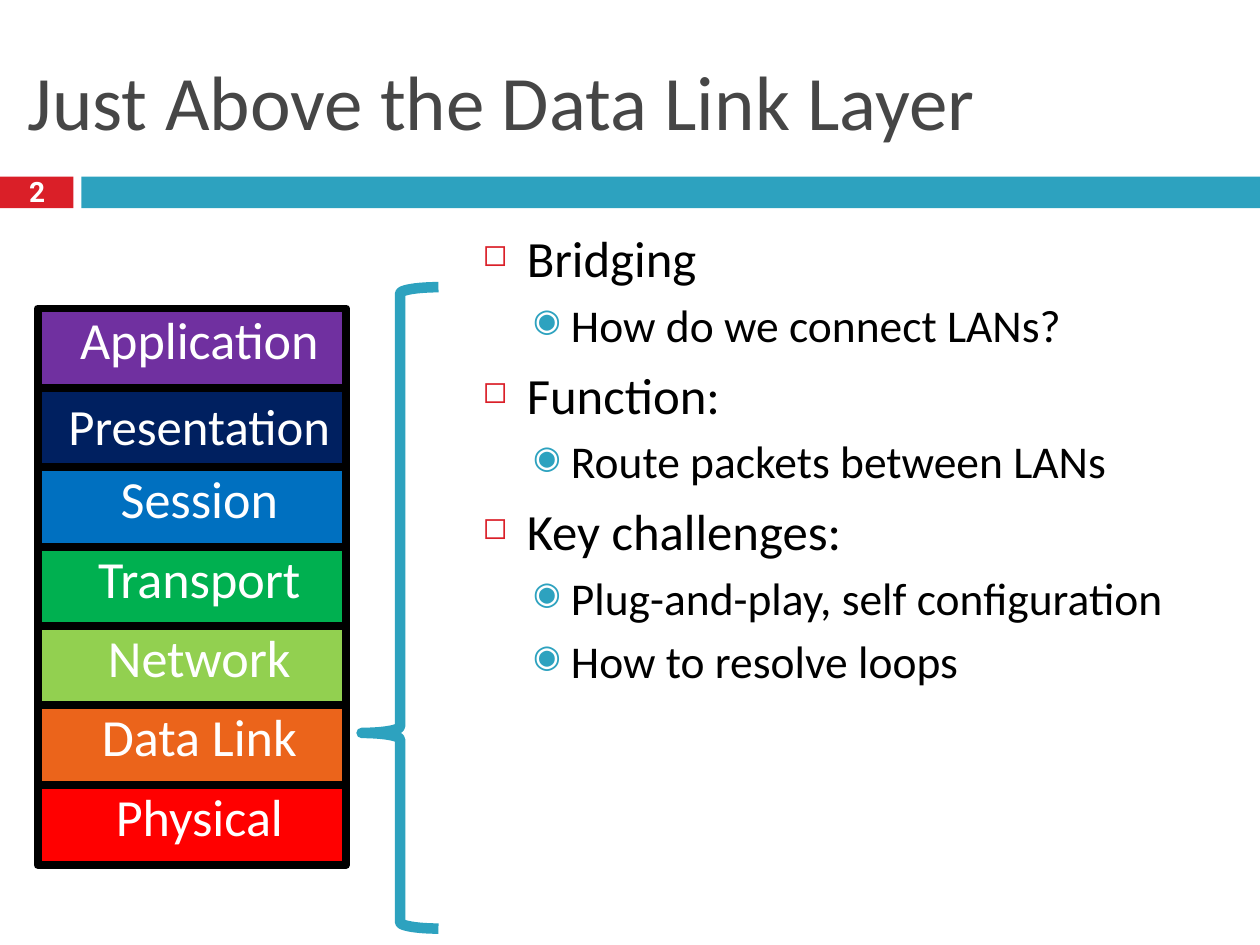
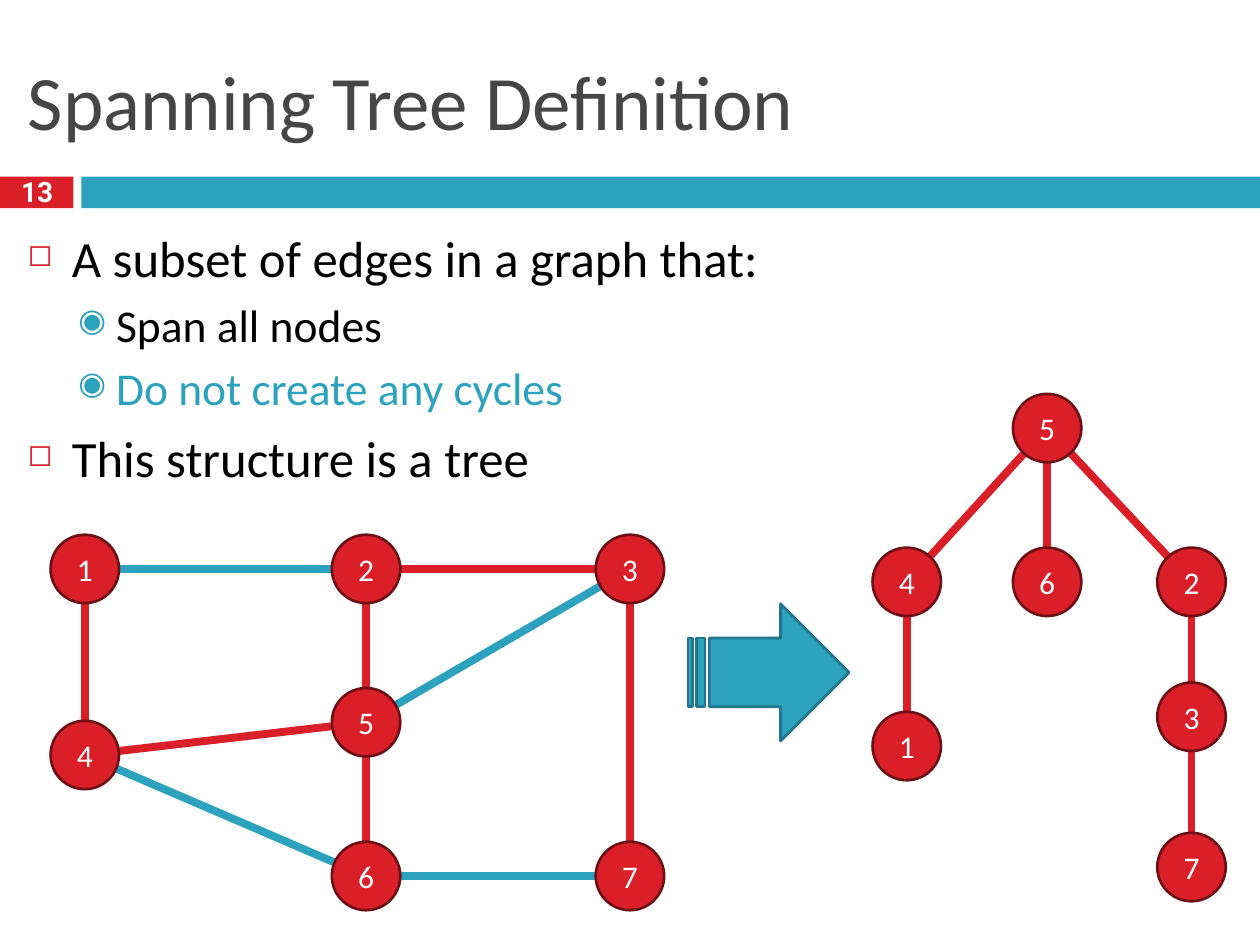
import math

import pptx
import pptx.dml.color
import pptx.enum.shapes
import pptx.enum.text
import pptx.util
from lxml import etree
from pptx.oxml.ns import qn

Cm = pptx.util.Cm
Pt = pptx.util.Pt
RGBColor = pptx.dml.color.RGBColor
SHAPE = pptx.enum.shapes.MSO_SHAPE
ANCHOR = pptx.enum.text.MSO_ANCHOR
ALIGN = pptx.enum.text.PP_ALIGN

RED = RGBColor(0xDA, 0x1F, 0x28)
DARK_RED = RGBColor(0x6D, 0x0F, 0x14)
TEAL = RGBColor(0x2D, 0xA2, 0xBF)
DARK_TEAL = RGBColor(0x21, 0x76, 0x8B)
GRAY = RGBColor(0x46, 0x46, 0x46)
BLACK = RGBColor(0, 0, 0)
WHITE = RGBColor(0xFF, 0xFF, 0xFF)

INSETS = {f"margin_{side}": Cm(0.13) for side in ("left", "right", "top", "bottom")}
TOP_FRAME = {**INSETS, "vertical_anchor": ANCHOR.TOP, "word_wrap": True}
MIDDLE_FRAME = {**TOP_FRAME, "vertical_anchor": ANCHOR.MIDDLE}
NUMBER_FRAME = {**MIDDLE_FRAME, "word_wrap": False}
NODE_FRAME = {**dict.fromkeys(INSETS, 0), "vertical_anchor": ANCHOR.MIDDLE}
TITLE_FONT = {"name": "Calibri", "size": Pt(44), "bold": False}
NUMBER_FONT = {"name": "Roboto", "size": Pt(16), "bold": True}
NODE_FONT = {"name": "Calibri", "size": Pt(18)}

# Per outline level: size, space before, left margin, hanging, bullet, its colour and percent
LEVELS = [
    (29, 7, 0.89, 0.89, "◻", RED, 60),
    (26, 5, 1.78, 0.76, "◉", TEAL, 70),
]


def add_filled(slide, kind, box, fill, line_color=None, line_width=0):
    """Add a flat preset shape; box is left, top, width, height in cm."""
    shape = slide.shapes.add_shape(kind, *map(Cm, box))
    shape.shadow.inherit = False
    shape.fill.solid()
    shape.fill.fore_color.rgb = fill
    if line_color is None:
        shape.line.fill.background()
    else:
        shape.line.color.rgb = line_color
        shape.line.width = Pt(line_width)
    return shape


def write_paragraph(paragraph, text, color, font_format, paragraph_format):
    run = paragraph.add_run()
    run.text = text
    run.font.color.rgb = color
    for target, values in ((run.font, font_format), (paragraph, paragraph_format)):
        for name, value in values.items():
            setattr(target, name, value)


presentation = pptx.Presentation()
presentation.slide_width = Cm(25.4)
presentation.slide_height = Cm(19.05)

# Title, number, outline box and outline of each slide: (level, text, colour)
slide_contents = [
    ("Just Above the Data Link Layer", "2", (9.6, 4.45, 15.39, 14.17), [
        (0, "Bridging", BLACK),
        (1, "How do we connect LANs?", BLACK),
        (0, "Function:", BLACK),
        (1, "Route packets between LANs", BLACK),
        (0, "Key challenges:", BLACK),
        (1, "Plug-and-play, self configuration", BLACK),
        (1, "How to resolve loops", BLACK),
    ]),
    ("Spanning Tree Definition", "13", (0.43, 4.45, 24.56, 5.82), [
        (0, "A subset of edges in a graph that:", BLACK),
        (1, "Span all nodes", BLACK),
        (1, "Do not create any cycles", TEAL),
        (0, "This structure is a tree", BLACK),
    ]),
]

for title_text, number, outline_box, outline in slide_contents:
    slide = presentation.slides.add_slide(presentation.slide_layouts[5])
    add_filled(slide, SHAPE.RECTANGLE, (0, 3.56, 1.48, 0.64), RED)
    add_filled(slide, SHAPE.RECTANGLE, (1.64, 3.56, 23.76, 0.64), TEAL)

    title = slide.shapes.title
    title.left, title.top, title.width, title.height = map(Cm, (0.43, 0.64, 24.56, 2.74))
    number_box = slide.shapes.add_textbox(*map(Cm, (0.3, 3.48, 0.9, 0.89)))
    outline_shape = slide.shapes.add_textbox(*map(Cm, outline_box))
    for shape, frame_format in ((title, MIDDLE_FRAME), (number_box, NUMBER_FRAME),
                                (outline_shape, TOP_FRAME)):
        shape.text_frame.auto_size = pptx.enum.text.MSO_AUTO_SIZE.NONE
        for name, value in frame_format.items():
            setattr(shape.text_frame, name, value)

    write_paragraph(title.text_frame.paragraphs[0], title_text, GRAY, TITLE_FONT,
                    {"alignment": ALIGN.LEFT})
    write_paragraph(number_box.text_frame.paragraphs[0], number, WHITE, NUMBER_FONT,
                    {"alignment": ALIGN.CENTER, "line_spacing": 0.8})

    for index, (level, text, color) in enumerate(outline):
        size, space, margin, hanging, bullet, bullet_color, percent = LEVELS[level]
        frame = outline_shape.text_frame
        paragraph = frame.add_paragraph() if index else frame.paragraphs[0]
        write_paragraph(paragraph, text, color, {"name": "Calibri", "size": Pt(size)},
                        {"level": level, "space_before": Pt(space)})
        properties = paragraph._p.get_or_add_pPr()
        properties.set("marL", str(Cm(margin)))
        properties.set("indent", str(-Cm(hanging)))
        bullet_fill = etree.SubElement(properties, qn("a:buClr"))
        etree.SubElement(bullet_fill, qn("a:srgbClr"), val=str(bullet_color))
        etree.SubElement(properties, qn("a:buSzPct"), val=str(percent * 1000))
        etree.SubElement(properties, qn("a:buChar"), char=bullet)

layer_slide, tree_slide = presentation.slides

# Layer stack with a brace pointing at the data link layer
layers = [
    ("Application", RGBColor(0x70, 0x30, 0xA0)),
    ("Presentation", RGBColor(0x00, 0x20, 0x60)),
    ("Session", RGBColor(0x00, 0x70, 0xC0)),
    ("Transport", RGBColor(0x00, 0xB0, 0x50)),
    ("Network", RGBColor(0x92, 0xD0, 0x50)),
    ("Data Link", RGBColor(0xEB, 0x64, 0x1B)),
    ("Physical", RGBColor(0xFF, 0x00, 0x00)),
]
for index, (layer, color) in enumerate(layers):
    shape = add_filled(layer_slide, SHAPE.RECTANGLE, (0.76, 6.22 + 1.6 * index, 6.22, 1.62),
                       color, BLACK, 4.5)
    for name, value in TOP_FRAME.items():
        setattr(shape.text_frame, name, value)
    size, space, spacing = (29, 6, 1.0) if layer == "Presentation" else (29.8, 7, 0.9)
    paragraph = shape.text_frame.paragraphs[0]
    write_paragraph(paragraph, layer, WHITE, {"name": "Calibri", "size": Pt(size)},
                    {"alignment": ALIGN.CENTER, "space_before": Pt(space),
                     "line_spacing": spacing})
    paragraph._p.get_or_add_pPr().set("indent", str(Cm(0.3)))

brace = add_filled(layer_slide, SHAPE.LEFT_BRACE, (7.29, 5.79, 1.55, 12.93), WHITE, TEAL, 6)
brace.fill.background()
brace.adjustments[1] = 0.695

# Graph and its spanning tree: node centres in cm, edges as pairs of nodes
NODE_SIZE = 1.38
EDGE_GAP = 0.71  # from a node centre to the end of its edges
graph_nodes = {
    1: (1.71, 11.47), 2: (7.38, 11.47), 3: (12.7, 11.47), 4: (1.71, 15.22),
    5: (7.38, 14.56), 6: (7.38, 17.66), 7: (12.7, 17.66),
}
tree_nodes = {
    5: (21.11, 8.63), 4: (18.28, 11.73), 6: (21.11, 11.73), 2: (24.02, 11.73),
    1: (18.28, 15.04), 3: (24.02, 14.45), 7: (24.02, 17.48),
}
tree_edges = [(5, 4), (5, 6), (5, 2), (4, 1), (2, 3), (3, 7)]
cycle_edges = [(1, 2), (3, 5), (4, 6), (6, 7)]

for nodes, colored_edges in (
    (graph_nodes, [(TEAL, cycle_edges), (RED, tree_edges)]),
    (tree_nodes, [(RED, tree_edges)]),
):
    for color, edges in colored_edges:
        for start, end in edges:
            (x1, y1), (x2, y2) = nodes[start], nodes[end]
            share = EDGE_GAP / math.hypot(x2 - x1, y2 - y1)
            dx, dy = share * (x2 - x1), share * (y2 - y1)
            edge = tree_slide.shapes.add_connector(
                pptx.enum.shapes.MSO_CONNECTOR.STRAIGHT,
                Cm(x1 + dx), Cm(y1 + dy), Cm(x2 - dx), Cm(y2 - dy))
            edge.line.color.rgb = color
            edge.line.width = Pt(4.5)
            etree.SubElement(edge._element.spPr, qn("a:effectLst"))
    for label, (x, y) in nodes.items():
        box = (x - NODE_SIZE / 2, y - NODE_SIZE / 2, NODE_SIZE, NODE_SIZE)
        node = add_filled(tree_slide, SHAPE.OVAL, box, RED, DARK_RED, 1.5)
        for name, value in NODE_FRAME.items():
            setattr(node.text_frame, name, value)
        write_paragraph(node.text_frame.paragraphs[0], str(label), WHITE, NODE_FONT,
                        {"alignment": ALIGN.CENTER})

add_filled(tree_slide, SHAPE.STRIPED_RIGHT_ARROW, (13.87, 12.17, 3.25, 2.77),
           TEAL, DARK_TEAL, 1.5)

presentation.save("out.pptx")
